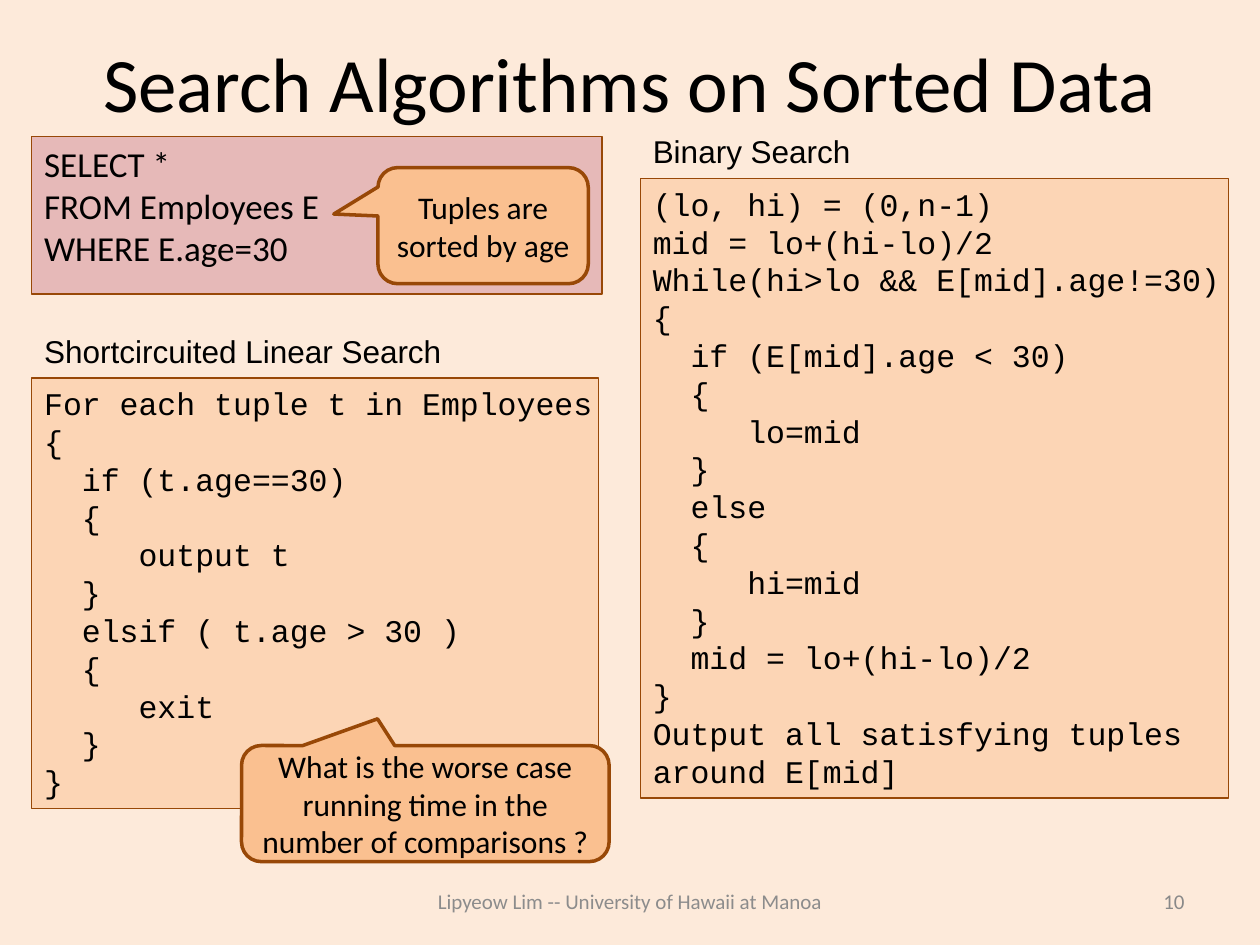
from pptx import Presentation
from pptx.dml.color import RGBColor
from pptx.enum.shapes import MSO_SHAPE
from pptx.enum.text import MSO_ANCHOR, MSO_AUTO_SIZE, PP_ALIGN
from pptx.util import Cm, Pt

BACKGROUND, BORDER = "FDEADA", "984807"
QUERY_FILL, CODE_FILL, CALLOUT_FILL = "E6B9B8", "FCD5B5", "FAC090"
HEADING_HEIGHT = 1.02

QUERY = """SELECT *
FROM Employees E
WHERE E.age=30"""

LINEAR_SEARCH = """For each tuple t in Employees
{
  if (t.age==30)
  {
     output t
  }
  elsif ( t.age > 30 )
  {
     exit
  }
}"""

BINARY_SEARCH = """(lo, hi) = (0,n-1)
mid = lo+(hi-lo)/2
While(hi>lo && E[mid].age!=30)
{
  if (E[mid].age < 30)
  {
     lo=mid
  }
  else
  {
     hi=mid
  }
  mid = lo+(hi-lo)/2
}
Output all satisfying tuples
around E[mid]"""


def rgb(color):
    return RGBColor.from_string(color)


def lengths(box):
    return [Cm(v) for v in box]


def write(sp, text, size, font="Calibri", color="000000", align=PP_ALIGN.LEFT,
          anchor=MSO_ANCHOR.TOP, wrap=True):
    """Fill a shape with one paragraph per line of text."""
    tf = sp.text_frame
    frame = {"auto_size": MSO_AUTO_SIZE.NONE, "word_wrap": wrap,
             "vertical_anchor": anchor}
    for name, value in frame.items():
        setattr(tf, name, value)
    tf.text = text
    for p in tf.paragraphs:
        p.alignment = align
        for name, value in {"size": Pt(size), "name": font}.items():
            setattr(p.font, name, value)
        p.font.color.rgb = rgb(color)


def add_label(s, box, text, size, **style):
    write(s.shapes.add_textbox(*lengths(box)), text, size, **style)


def add_box(s, box, fill, width=0.75, kind=MSO_SHAPE.RECTANGLE):
    sp = s.shapes.add_shape(kind, *lengths(box))
    sp.shadow.inherit = False
    sp.fill.solid()
    sp.fill.fore_color.rgb = rgb(fill)
    sp.line.color.rgb = rgb(BORDER)
    sp.line.width = Pt(width)
    return sp


def add_callout(s, box, text, tip):
    """Place a rounded callout; tip is its offset from the centre, per side."""
    sp = add_box(s, box, CALLOUT_FILL, 2, MSO_SHAPE.ROUNDED_RECTANGULAR_CALLOUT)
    for i, value in enumerate((*tip, 0.17)):
        sp.adjustments[i] = value
    write(sp, text, 18, align=PP_ALIGN.CENTER, anchor=MSO_ANCHOR.MIDDLE)


def add_query(s, box):
    left, top, width, height = box
    write(add_box(s, box, QUERY_FILL), QUERY, 20, wrap=False)
    add_callout(s, (left + 6.98, top + 0.63, 4.24, 2.34),
                "Tuples are sorted by age", (-0.71, -0.1))


def add_algorithm(s, box, heading, code):
    """Place a heading with its code panel below, ending at the box's foot."""
    left, top, width, height = box
    add_label(s, (left, top, width, HEADING_HEIGHT), heading, 18,
              font="Arial", wrap=False)
    panel = (left, top + 1.06, width, height - 1.06)
    write(add_box(s, panel, CODE_FILL), code, 18, font="Courier New", wrap=False)


def add_title(s, box, text):
    title = s.shapes.title
    for name, value in zip(("left", "top", "width", "height"), lengths(box)):
        setattr(title, name, value)
    write(title, text, 44, align=PP_ALIGN.CENTER, anchor=MSO_ANCHOR.MIDDLE)


def add_footer(s, box, text, number):
    left, top, width, height = box
    add_label(s, (left + 6.35, top, 10.16, height), text, 12, color="8C8C8C",
              align=PP_ALIGN.CENTER, anchor=MSO_ANCHOR.MIDDLE)
    add_label(s, (left + width - 5.92, top, 5.92, height), number, 12,
              color="898989", align=PP_ALIGN.RIGHT, anchor=MSO_ANCHOR.MIDDLE)


def main():
    prs = Presentation()
    prs.slide_width, prs.slide_height = Cm(25.4), Cm(19.05)
    s = prs.slides.add_slide(prs.slide_layouts[5])
    s.background.fill.solid()
    s.background.fill.fore_color.rgb = rgb(BACKGROUND)

    add_title(s, (1.27, 0.76, 22.86, 1.78), "Search Algorithms on Sorted Data")
    add_query(s, (0.64, 2.75, 11.5, 3.18))
    add_algorithm(s, (0.64, 6.56, 11.43, 9.74),
                  "Shortcircuited Linear Search", LINEAR_SEARCH)
    add_callout(s, (4.87, 15.03, 7.41, 2.34),
                "What is the worse case running time in the number of comparisons ?",
                (-0.13, -0.73))
    add_algorithm(s, (12.91, 2.54, 11.85, 13.55), "Binary Search", BINARY_SEARCH)
    add_footer(s, (1.27, 17.66, 22.86, 1.01),
               "Lipyeow Lim -- University of Hawaii at Manoa", "10")
    prs.save("out.pptx")


if __name__ == "__main__":
    main()
